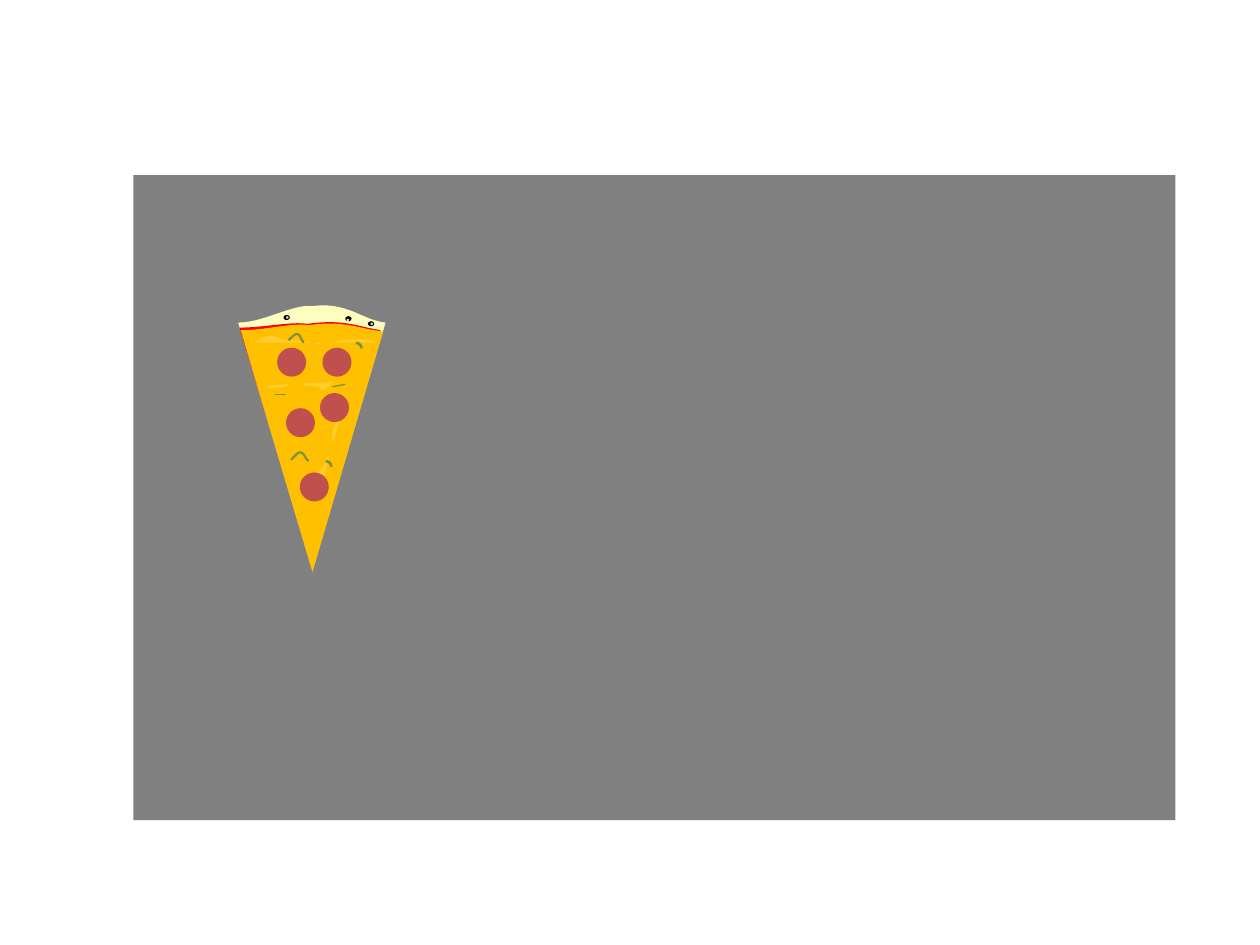
from math import cos, radians, sin

from lxml.etree import SubElement
from pptx import Presentation
from pptx.dml.color import RGBColor
from pptx.enum.shapes import MSO_CONNECTOR, MSO_SHAPE
from pptx.oxml.ns import qn
from pptx.util import Inches, Pt

GRAY = RGBColor(0x80, 0x80, 0x80)
CRUST = RGBColor(0xFC, 0xFD, 0xBF)
SAUCE = RGBColor(0xFF, 0x00, 0x00)
CHEESE = RGBColor(0xFF, 0xC0, 0x00)
MELTED = RGBColor(0xFF, 0xCD, 0x2D)
BLACK = RGBColor(0x00, 0x00, 0x00)
LIGHT_GRAY = RGBColor(0xD9, 0xD9, 0xD9)
PEPPERONI = RGBColor(0xC0, 0x50, 0x4D)
HERB = RGBColor(0x77, 0x93, 0x3C)


def style(shape, fill=None, line=None, width=1):
    shape.shadow.inherit = False
    if fill is None:
        shape.fill.background()
    else:
        shape.fill.solid()
        shape.fill.fore_color.rgb = fill
    if line is None:
        shape.line.fill.background()
    else:
        shape.line.color.rgb = line
        shape.line.width = Pt(width)


def add_curve(shapes, box, knots, rotation=0, tip=None):
    """Draw cubic curves through the knots, turned about the box centre; a tip closes them."""
    left, top, width, height = box
    center_x, center_y = left + width / 2, top + height / 2
    cosine, sine = cos(radians(rotation)), sin(radians(rotation))
    points = []
    for x, y in knots + ([tip] if tip else []):
        dx, dy = x - center_x, y - center_y
        points.append((Inches(center_x + dx * cosine + dy * sine),
                       Inches(center_y - dx * sine + dy * cosine)))
    builder = shapes.build_freeform(*points[0])
    builder.add_line_segments(points[1:], close=tip is not None)
    shape = builder.convert_to_shape()

    # Fit the outline to the box and join each three points into a curve
    shape.left, shape.top, shape.width, shape.height = [Inches(value) for value in box]
    outline = next(shape._element.iter(qn("a:path")))
    outline.set("w", str(shape.width))
    outline.set("h", str(shape.height))
    for node, (x, y) in zip(outline.iter(qn("a:pt")), points):
        node.set("x", str(x - shape.left))
        node.set("y", str(y - shape.top))
    segments = outline.findall(qn("a:lnTo"))
    for first in range(0, len(knots) - 1, 3):
        curve = SubElement(outline, qn("a:cubicBezTo"))
        segments[first].addprevious(curve)
        for segment in segments[first:first + 3]:
            curve.append(segment[0])
            outline.remove(segment)
    shape.rotation = rotation
    return shape


presentation = Presentation()
presentation.slide_width = Inches(10)
presentation.slide_height = Inches(7.5)
slide = presentation.slides.add_slide(presentation.slide_layouts[6])

# Backdrop
backdrop = slide.shapes.add_shape(
    MSO_SHAPE.RECTANGLE, Inches(1.06), Inches(1.39), Inches(8.27), Inches(5.12))
style(backdrop, GRAY)

pizza = slide.shapes.add_group_shape().shapes

# Crust, sauce and cheese
layers = [
    (CRUST, (1.89, 2.42, 1.17, 2.11), (2.48, 4.53),
     [(1.89, 2.56), (2.09, 2.56), (2.33, 2.41), (2.47, 2.43),
      (2.76, 2.39), (2.87, 2.54), (3.06, 2.56)]),
    (SAUCE, (1.9, 2.56, 1.12, 1.95), (2.48, 4.51),
     [(1.9, 2.6), (2.1, 2.6), (2.3, 2.55), (2.44, 2.57),
      (2.73, 2.53), (2.83, 2.59), (3.02, 2.62)]),
    (CHEESE, (1.91, 2.57, 1.13, 1.97), (2.48, 4.54),
     [(1.91, 2.62), (2.11, 2.62), (2.31, 2.56), (2.45, 2.58),
      (2.74, 2.54), (2.85, 2.61), (3.04, 2.63)]),
]
for color, box, tip, edge in layers:
    style(add_curve(pizza, box, edge, 180, tip), color)

# Olives with light centres
olives = [(2.74, 2.51, 2.75, 2.53), (2.92, 2.55, 2.94, 2.56), (2.25, 2.5, 2.27, 2.51)]
for left, top, centre_left, centre_top in olives:
    olive = pizza.add_shape(
        MSO_SHAPE.OVAL, Inches(left), Inches(top), Inches(0.05), Inches(0.04))
    style(olive, BLACK)
    centre = pizza.add_shape(
        MSO_SHAPE.OVAL, Inches(centre_left), Inches(centre_top), Inches(0.02), Inches(0.02))
    style(centre, LIGHT_GRAY)

# Melted cheese
melted_patches = [
    ((1.98, 2.64, 1.02, 0.11), 0,
     [(1.98, 2.72), (2.04, 2.69), (2.1, 2.65), (2.14, 2.65), (2.19, 2.64), (2.2, 2.67),
      (2.25, 2.68), (2.31, 2.69), (2.42, 2.69), (2.47, 2.7), (2.51, 2.71), (2.48, 2.75),
      (2.52, 2.75), (2.55, 2.75), (2.62, 2.7), (2.69, 2.69), (2.76, 2.68), (2.88, 2.68),
      (2.93, 2.68), (2.98, 2.69), (2.99, 2.71), (3, 2.72)]),
    ((2.1, 3.02, 0.56, 0.11), 177.4,
     [(2.66, 3.03), (2.63, 3.07), (2.6, 3.1), (2.57, 3.11), (2.55, 3.12), (2.54, 3.09),
      (2.51, 3.08), (2.48, 3.08), (2.42, 3.08), (2.39, 3.06), (2.37, 3.05), (2.38, 3.01),
      (2.36, 3.02), (2.34, 3.02), (2.31, 3.07), (2.27, 3.08), (2.24, 3.09), (2.17, 3.1),
      (2.14, 3.1), (2.11, 3.09), (2.11, 3.06), (2.1, 3.06)]),
    ((2.32, 3.53, 0.56, 0.11), 285.3,
     [(2.55, 3.86), (2.52, 3.82), (2.5, 3.78), (2.5, 3.75), (2.5, 3.73), (2.53, 3.73),
      (2.55, 3.7), (2.56, 3.68), (2.58, 3.62), (2.6, 3.6), (2.62, 3.58), (2.65, 3.6),
      (2.65, 3.58), (2.66, 3.56), (2.62, 3.52), (2.62, 3.48), (2.62, 3.44), (2.63, 3.38),
      (2.65, 3.35), (2.66, 3.32), (2.69, 3.33), (2.7, 3.32)]),
]
for box, rotation, patch in melted_patches:
    style(add_curve(pizza, box, patch, rotation), MELTED, CHEESE, 2)

# Pepperoni
for left, top in [(2.2, 2.76), (2.56, 2.76), (2.27, 3.24), (2.54, 3.12), (2.38, 3.75)]:
    pepperoni = pizza.add_shape(
        MSO_SHAPE.OVAL, Inches(left), Inches(top), Inches(0.23), Inches(0.23))
    style(pepperoni, PEPPERONI)

# Herbs: a bent leaf, two straight stems, a bent leaf and two arcs
leaves = [
    ((2.29, 2.65, 0.12, 0.07),
     [(2.29, 2.7), (2.31, 2.68), (2.34, 2.65), (2.36, 2.65),
      (2.38, 2.65), (2.39, 2.7), (2.41, 2.72)]),
    ((2.31, 3.59, 0.13, 0.08),
     [(2.31, 3.65), (2.34, 3.62), (2.37, 3.58), (2.39, 3.59),
      (2.41, 3.59), (2.43, 3.65), (2.45, 3.66)]),
]
for box, leaf in leaves:
    style(add_curve(pizza, box, leaf), line=HERB, width=1.25)

for ends in [(2.18, 3.13, 2.27, 3.13), (2.74, 3.05, 2.64, 3.07)]:
    stem = pizza.add_connector(MSO_CONNECTOR.STRAIGHT, *[Inches(value) for value in ends])
    stem.line.color.rgb = HERB
    stem.line.width = Pt(0.75)
    SubElement(stem._element.spPr, qn("a:effectLst"))

for left, top in [(2.78, 2.72), (2.54, 3.66)]:
    arc = pizza.add_shape(
        MSO_SHAPE.ARC, Inches(left), Inches(top), Inches(0.09), Inches(0.09))
    style(arc, line=HERB, width=1.5)

presentation.save("out.pptx")
